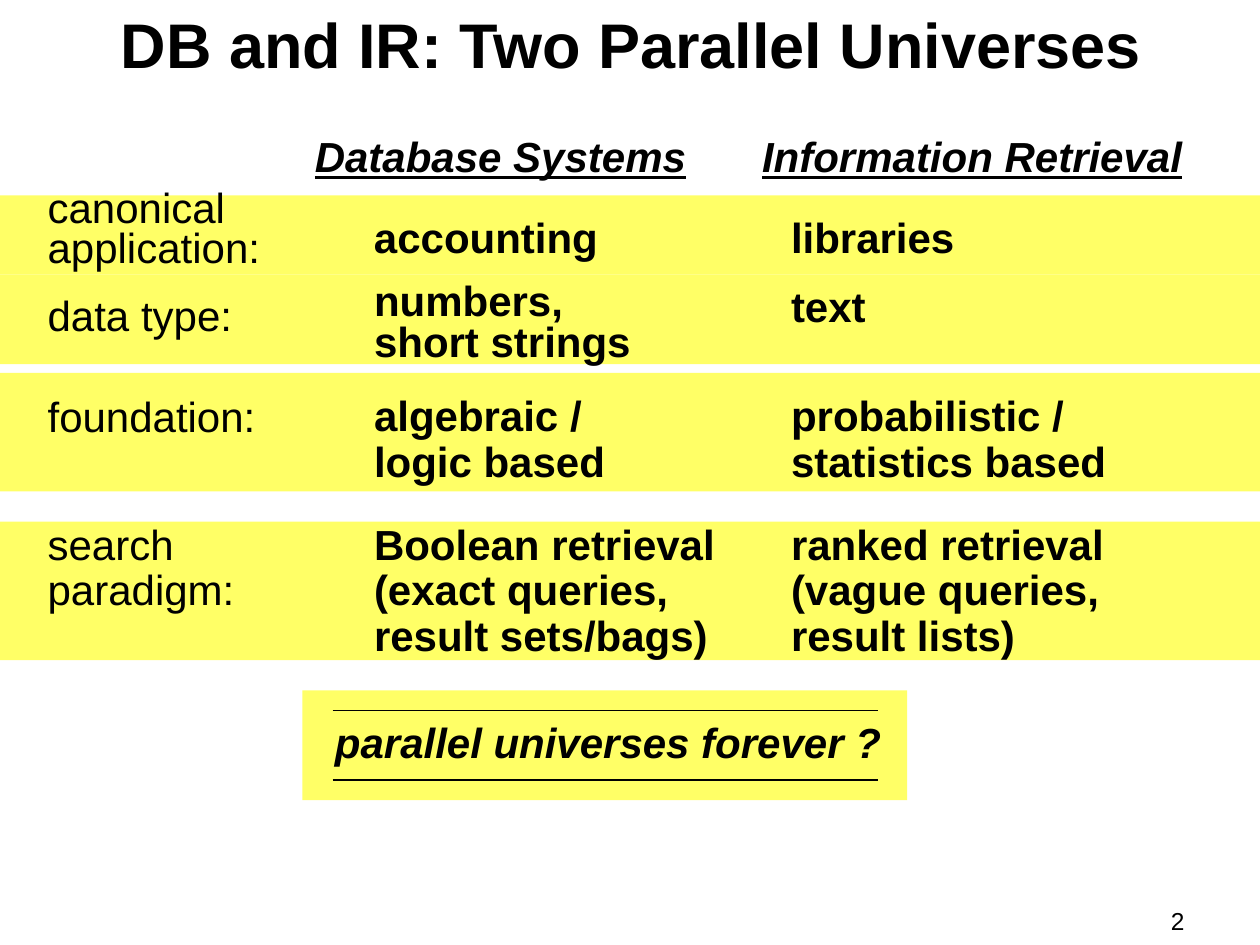
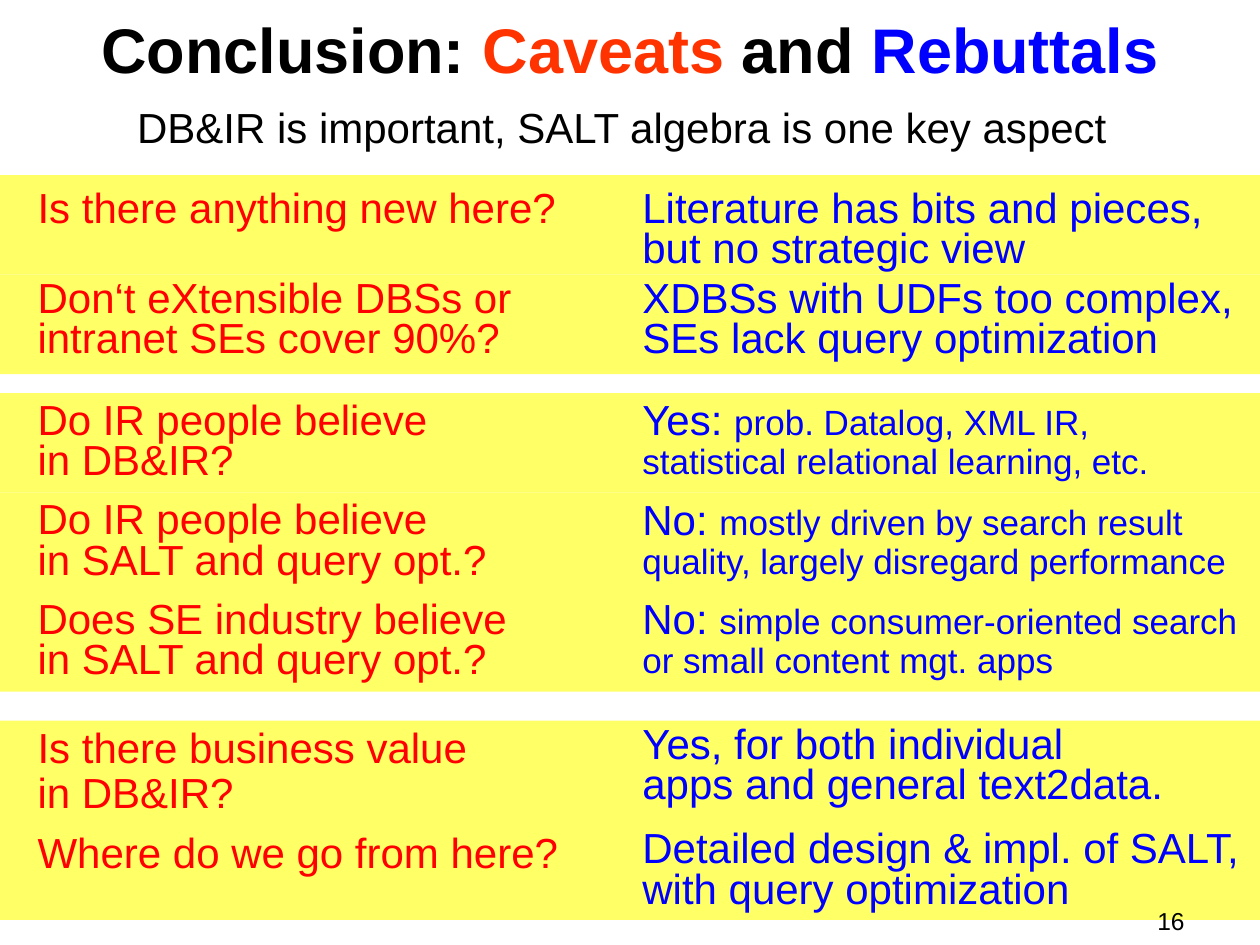
import pptx
import pptx.util
import pptx.dml.color
import pptx.enum.shapes
import pptx.enum.text
import pptx.oxml.ns
import lxml.etree
from collections import namedtuple

Inches, Pt = pptx.util.Inches, pptx.util.Pt
RGBColor = pptx.dml.color.RGBColor
ALIGN = pptx.enum.text.PP_ALIGN
ANCHOR = pptx.enum.text.MSO_ANCHOR

BLACK = RGBColor(0x00, 0x00, 0x00)
YELLOW = RGBColor(0xFF, 0xFF, 0x66)
RED = RGBColor(0xFF, 0x00, 0x00)
ORANGE = RGBColor(0xFF, 0x33, 0x00)
BLUE = RGBColor(0x00, 0x00, 0xFF)

FONT = "Arial"
BODY, DETAIL, TITLE, NUMBER = 24, 20, 36, 14
SLIDE_WIDTH, SLIDE_HEIGHT = 10, 7.5
LABEL_SLACK = 0.05  # spare width that keeps a label's lines unbroken

Box = namedtuple("Box", "left top width height")
# A cell's text starts dy below its band; lead is a larger opening phrase.
Cell = namedtuple("Cell", "dy width text spacing lead", defaults=(1.0, ""))


# Shared parts

def style_run(run, size=BODY, color=BLACK, bold=False, italic=False, underline=False):
    font = run.font
    font.name, font.size, font.color.rgb = FONT, Pt(size), color
    font.bold, font.italic, font.underline = bold, italic, underline


def add_text(slide, box, lines, spacing=1.0, align=ALIGN.LEFT, anchor=ANCHOR.TOP, **style):
    """Each line is a list of (text, style changes) pieces."""
    frame = slide.shapes.add_textbox(*map(Inches, box)).text_frame
    frame.word_wrap = True
    frame.vertical_anchor = anchor
    for index, pieces in enumerate(lines):
        paragraph = frame.add_paragraph() if index else frame.paragraphs[0]
        paragraph.alignment = align
        paragraph.line_spacing = spacing
        for text, changes in pieces:
            run = paragraph.add_run()
            run.text = text
            style_run(run, **{**style, **changes})


def add_label(slide, left, top, width, text, spacing=1.0, lead="", **style):
    """Place lines of body text, sized to their content."""
    rest = {"size": DETAIL} if lead else {}
    lines = [[(line, rest)] for line in text.split("\n")]
    if lead:
        lines[0].insert(0, (lead, {}))
    line_sizes = [max(changes.get("size", BODY) for _, changes in line) for line in lines]
    height = 0.1 + sum(line_sizes) / 60 * spacing
    add_text(slide, Box(left, top, width + LABEL_SLACK, height), lines, spacing, **style)


def add_band(slide, box):
    band = slide.shapes.add_shape(pptx.enum.shapes.MSO_SHAPE.RECTANGLE, *map(Inches, box))
    band.shadow.inherit = False
    band.fill.solid()
    band.fill.fore_color.rgb = YELLOW
    band.line.fill.background()


def add_rule(slide, left, top, width):
    rule = slide.shapes.add_connector(
        pptx.enum.shapes.MSO_CONNECTOR.STRAIGHT,
        *map(Inches, (left, top, left + width, top)))
    rule.line.color.rgb = BLACK
    rule.line.width = Pt(0.75)
    lxml.etree.SubElement(rule._element.spPr, pptx.oxml.ns.qn("a:effectLst"))


def add_title(slide, box, pieces, spacing=1.0):
    add_text(slide, box, [pieces], spacing, ALIGN.CENTER, ANCHOR.MIDDLE,
             size=TITLE, bold=True)


def add_page_number(slide, number):
    add_text(slide, Box(7.17, 7.14, 2.33, 0.22), [[(str(number), {})]],
             align=ALIGN.RIGHT, size=NUMBER)


def add_band_row(slide, box, cells, lefts, styles):
    """Fill one full-width band with a cell per column."""
    add_band(slide, box)
    for cell, left, style in zip(cells, lefts, styles):
        add_label(slide, box.left + left, box.top + cell.dy, cell.width,
                  cell.text, cell.spacing, cell.lead, **style)


# Slide: two parallel universes

UNIVERSE_LEFTS = (0.28, 2.87, 6.18)
UNIVERSE_STYLES = ({}, {"bold": True}, {"bold": True})
UNIVERSE_ROWS = [
    (1.55, 0.63, (Cell(-0.08, 1.88, "canonical\napplication:", 0.8),
                  Cell(0.08, 1.98, "accounting"),
                  Cell(0.08, 1.49, "libraries"))),
    (2.18, 0.71, (Cell(0.07, 1.66, "data type:"),
                  Cell(0.03, 2.24, "numbers,\nshort strings", 0.8),
                  Cell(0, 0.79, "text"))),
    (2.96, 0.94, (Cell(0.09, 1.85, "foundation:"),
                  Cell(0.13, 2.03, "algebraic /\nlogic based", 0.9),
                  Cell(0.13, 2.7, "probabilistic /\nstatistics based", 0.9))),
    (4.14, 1.1, (Cell(-0.03, 1.68, "search\nparadigm:", 0.9),
                 Cell(-0.03, 2.9, "Boolean retrieval\n(exact queries,\nresult sets/bags)", 0.9),
                 Cell(-0.03, 2.68, "ranked retrieval\n(vague queries,\nresult lists)", 0.9))),
]


def add_closing_question(slide, box):
    add_band(slide, box)
    add_label(slide, box.left + 0.16, box.top + 0.16, 4.53,
              "parallel universes forever ?", bold=True, italic=True)
    for dy in (0.16, 0.71):
        add_rule(slide, box.left + 0.24, box.top + dy, 4.33)


def build_universes(slide):
    add_title(slide, Box(0.51, 0, 9, 0.69), [("DB and IR: Two Parallel Universes", {})])
    for left, width, heading in ((2.4, 3.14, "Database Systems"),
                                 (5.95, 3.53, "Information Retrieval")):
        add_label(slide, left, 0.99, width, heading, bold=True, italic=True, underline=True)
    for top, height, cells in UNIVERSE_ROWS:
        add_band_row(slide, Box(0, top, SLIDE_WIDTH, height), cells,
                     UNIVERSE_LEFTS, UNIVERSE_STYLES)
    add_closing_question(slide, Box(2.4, 5.48, 4.8, 0.87))
    add_page_number(slide, 2)


# Slide: caveats and rebuttals

DEBATE_LEFTS = (0.2, 5)
DEBATE_STYLES = ({"color": RED}, {"color": BLUE})
DEBATE_BAND = 0.79
# Each block is a run of touching bands: its top, then caveat and rebuttal pairs.
DEBATE_BLOCKS = [
    (1.39, [
        (Cell(0, 4.31, "Is there anything new here?"),
         Cell(0.08, 4.64, "Literature has bits and pieces,\nbut no strategic view", 0.8)),
        (Cell(0, 3.96, "Don‘t eXtensible DBSs or\nintranet SEs cover 90%?", 0.8),
         Cell(0, 4.88, "XDBSs with UDFs too complex,\nSEs lack query optimization", 0.8)),
    ]),
    (3.12, [
        (Cell(0.03, 3.29, "Do IR people believe\nin DB&IR?", 0.8),
         Cell(0, 4.22, "prob. Datalog, XML IR,\nstatistical relational learning, etc.",
              0.9, "Yes: ")),
        (Cell(0.03, 3.79, "Do IR people believe\nin SALT and query opt.?", 0.8),
         Cell(0, 4.85, "mostly driven by search result\nquality, largely disregard performance",
              0.9, "No: ")),
        (Cell(0.03, 3.92, "Does SE industry believe\nin SALT and query opt.?", 0.8),
         Cell(0, 4.92, "simple consumer-oriented search\nor small content mgt. apps",
              0.9, "No: ")),
    ]),
    (5.72, [
        (Cell(0, 3.61, "Is there business value\nin DB&IR?", 0.9),
         Cell(0, 4.33, "Yes, for both individual\napps and general text2data.", 0.8)),
        (Cell(0, 4.33, "Where do we go from here?"),
         Cell(0.04, 4.95, "Detailed design & impl. of SALT,\nwith query optimization", 0.8)),
    ]),
]


def build_debate(slide):
    add_title(slide, Box(0, 0, SLIDE_WIDTH, 0.84),
              [("Conclusion: ", {}), ("Caveats", {"color": ORANGE}),
               (" and ", {}), ("Rebuttals", {"color": BLUE})], 0.9)
    add_label(slide, 0.99, 0.76, 7.92, "DB&IR is important, SALT algebra is one key aspect")
    for block_top, pairs in DEBATE_BLOCKS:
        for index, pair in enumerate(pairs):
            band_box = Box(0, block_top + index * DEBATE_BAND, SLIDE_WIDTH, DEBATE_BAND)
            add_band_row(slide, band_box, pair, DEBATE_LEFTS, DEBATE_STYLES)
    add_page_number(slide, 16)


def main():
    deck = pptx.Presentation()
    deck.slide_width, deck.slide_height = Inches(SLIDE_WIDTH), Inches(SLIDE_HEIGHT)
    blank = deck.slide_layouts[6]
    for build in (build_universes, build_debate):
        build(deck.slides.add_slide(blank))
    deck.save("out.pptx")


if __name__ == "__main__":
    main()
